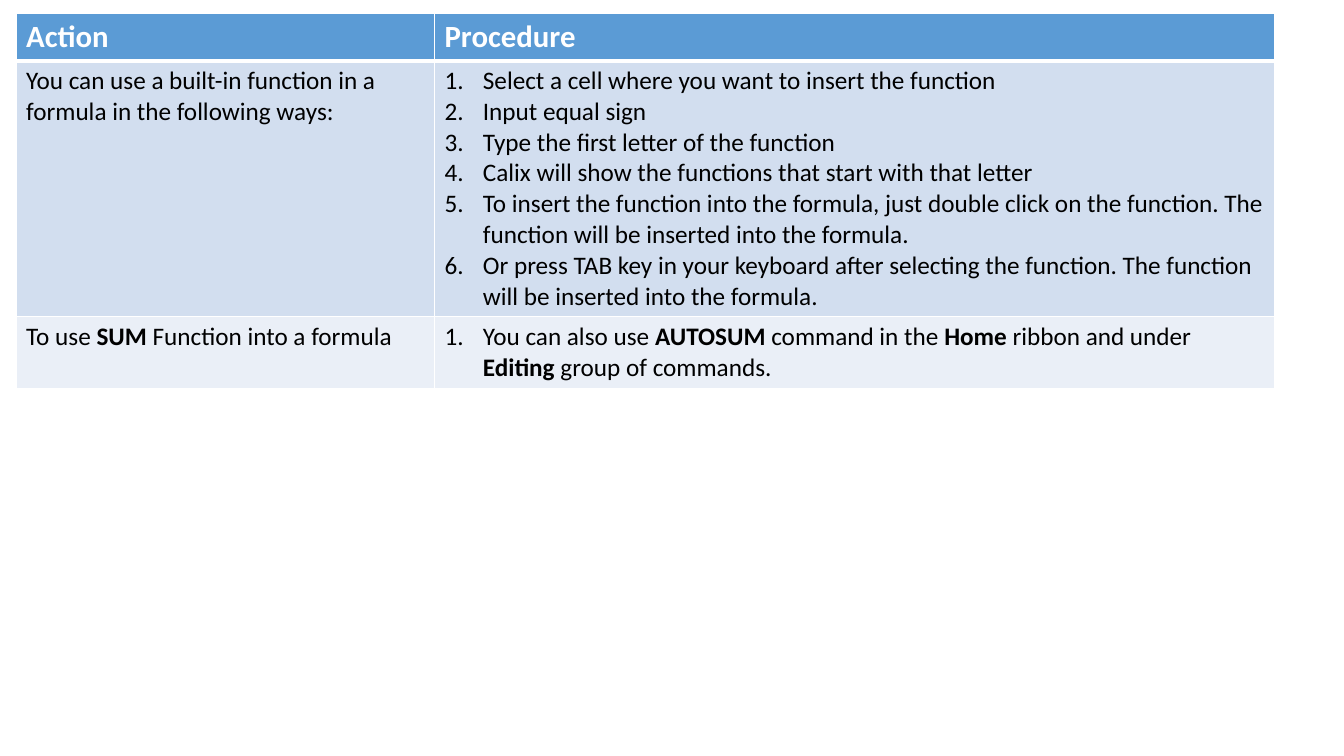
"""Build a slide with a table of ways to use functions in a formula."""
from lxml.etree import SubElement
from pptx import Presentation
from pptx.dml.color import RGBColor
from pptx.oxml import parse_xml
from pptx.oxml.ns import nsdecls, qn
from pptx.util import Inches, Pt

COLOURS = {"header": "5B9BD5", "ways": "D2DEEF", "sum": "EAEFF7",
           "border": "FFFFFF", "title": "FFFFFF", "body": "000000"}
FONT = "Calibri"
INDENT = Inches(0.38)
LEFT, TOP = Inches(0.16), Inches(0.13)
COLUMN_WIDTHS = [4.15, 8.33]

HEADINGS = ["Action", "Procedure"]
ACTIONS = [
    {
        "band": "ways",
        "height": 2.54,
        "action": ["You can use a built-in function in a formula in the following ways:"],
        "steps": [
            ["Select a cell where you want to insert the function"],
            ["Input equal sign"],
            ["Type the first letter of the function"],
            ["Calix will show the functions that start with that letter"],
            ["To insert the function into the formula, just double click on the function. "
             "The function will be inserted into the formula."],
            ["Or press TAB key in your keyboard after selecting the function. "
             "The function will be inserted into the formula."],
        ],
    },
    {
        "band": "sum",
        "height": 0.71,
        "action": ["To use ", "SUM", " Function into a formula"],
        "steps": [
            ["You can also use ", "AUTOSUM", " command in the ", "Home",
             " ribbon and under ", "Editing", " group of commands."],
        ],
    },
]
HEADER_HEIGHT = 0.46


def style_cell(cell, band, bottom_width=1):
    properties = cell._tc.get_or_add_tcPr()
    for side, width in zip("LRTB", (1, 1, 1, bottom_width)):
        line = SubElement(properties, qn(f"a:ln{side}"), w=str(Pt(width)))
        solid = SubElement(line, qn("a:solidFill"))
        SubElement(solid, qn("a:srgbClr"), val=COLOURS["border"])
    cell.fill.solid()
    cell.fill.fore_color.rgb = RGBColor.from_string(COLOURS[band])


def write_cell(cell, paragraphs, size, colour, bold=False, numbered=False):
    """Fill a cell; every second segment of a paragraph is bold."""
    frame = cell.text_frame
    for index, segments in enumerate(paragraphs):
        paragraph = frame.add_paragraph() if index else frame.paragraphs[0]
        font = paragraph.font
        font.name, font.size, font.bold = FONT, Pt(size), bold
        font.color.rgb = RGBColor.from_string(COLOURS[colour])
        for position, segment in enumerate(segments):
            run = paragraph.add_run()
            run.text = segment
            if len(segments) > 1:
                run.font.bold = position % 2 == 1
        if numbered:
            properties = paragraph._p.get_or_add_pPr()
            properties.set("marL", str(INDENT))
            properties.set("indent", str(-INDENT))
            properties.insert(0, parse_xml(
                f'<a:buAutoNum {nsdecls("a")} type="arabicPeriod"/>'))


presentation = Presentation()
presentation.slide_width, presentation.slide_height = Inches(13.33), Inches(7.5)
slide = presentation.slides.add_slide(presentation.slide_layouts[6])

row_heights = [HEADER_HEIGHT] + [entry["height"] for entry in ACTIONS]
procedures = slide.shapes.add_table(
    len(row_heights), len(COLUMN_WIDTHS), LEFT, TOP,
    Inches(sum(COLUMN_WIDTHS)), Inches(sum(row_heights))).table
for column, width in zip(procedures.columns, COLUMN_WIDTHS):
    column.width = Inches(width)
for row, height in zip(procedures.rows, row_heights):
    row.height = Inches(height)

for column_index, heading in enumerate(HEADINGS):
    heading_cell = procedures.cell(0, column_index)
    style_cell(heading_cell, "header", bottom_width=3)
    write_cell(heading_cell, [[heading]], 22, "title", bold=True)

for row_index, entry in enumerate(ACTIONS, start=1):
    action_cell, steps_cell = procedures.rows[row_index].cells
    for cell in (action_cell, steps_cell):
        style_cell(cell, entry["band"])
    write_cell(action_cell, [entry["action"]], 18, "body")
    write_cell(steps_cell, entry["steps"], 18, "body", numbered=True)

presentation.save("out.pptx")
